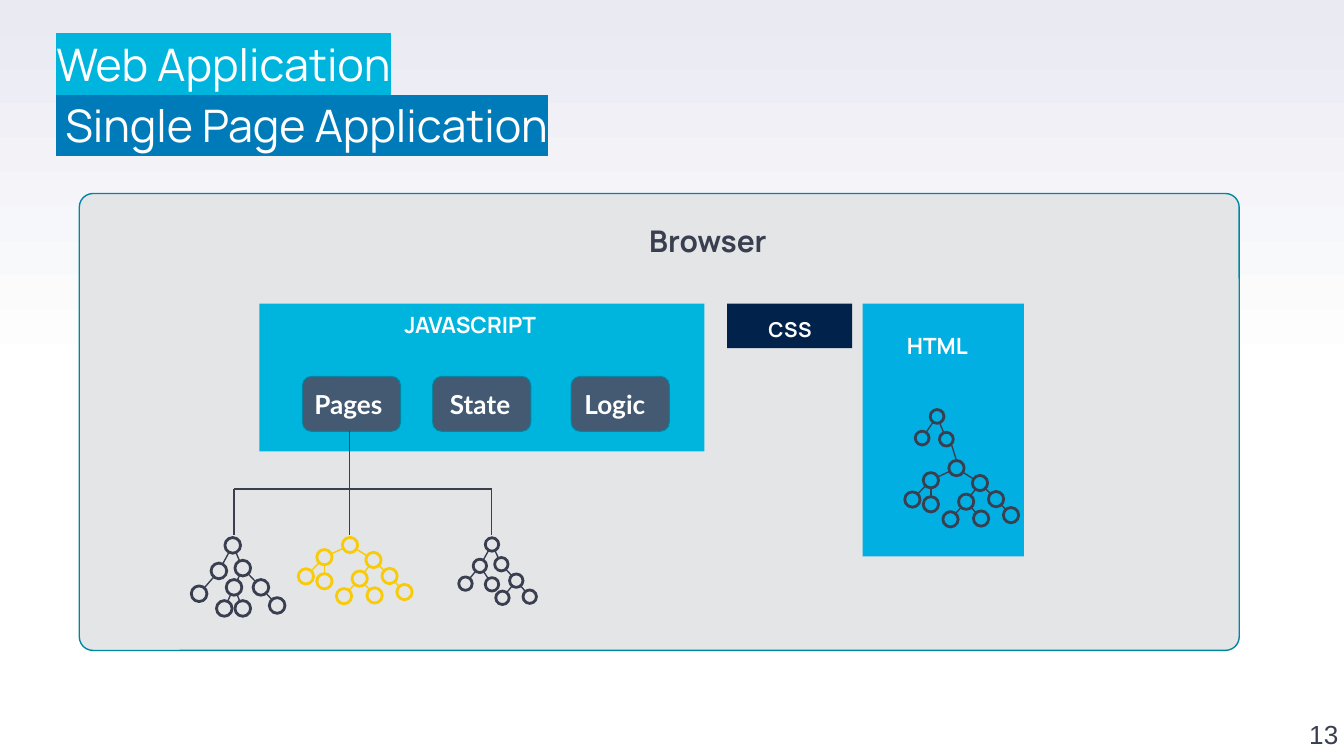
from math import hypot

from lxml import etree
from pptx import Presentation
from pptx.dml.color import RGBColor
from pptx.enum.shapes import MSO_CONNECTOR, MSO_SHAPE
from pptx.enum.text import MSO_ANCHOR, PP_ALIGN
from pptx.oxml.ns import qn
from pptx.util import Pt

RECT, ROUND, OVAL = MSO_SHAPE.RECTANGLE, MSO_SHAPE.ROUNDED_RECTANGLE, MSO_SHAPE.OVAL
STRAIGHT = MSO_CONNECTOR.STRAIGHT
BOTTOM, LEFT, RIGHT = MSO_ANCHOR.BOTTOM, PP_ALIGN.LEFT, PP_ALIGN.RIGHT

WHITE = RGBColor(0xFF, 0xFF, 0xFF)
HAZE = RGBColor(0xE9, 0xEA, 0xF2)
DARK = RGBColor(0x3A, 0x3F, 0x50)
PANEL = RGBColor(0xE3, 0xE5, 0xE7)
TEAL = RGBColor(0x00, 0x86, 0xA3)
CYAN = RGBColor(0x00, 0xB5, 0xDD)
BLUE = RGBColor(0x00, 0x7B, 0xB9)
SKY = RGBColor(0x01, 0xAF, 0xE2)
NAVY = RGBColor(0x01, 0x22, 0x4B)
SLATE = RGBColor(0x43, 0x5A, 0x72)
YELLOW = RGBColor(0xF9, 0xCB, 0x07)

TITLE = [("Web Application", CYAN), (" Single Page Application", BLUE)]

BLOCKS = [
    (462.2, 162.7, 86.4, 135.4, SKY),
    (139, 162.7, 238.3, 79.2, CYAN),
    (389.5, 162.7, 67, 23.8, NAVY),
]
LABELS = [
    ("JAVASCRIPT", 209.5, 163.4, 98.6, 12),
    ("CSS", 404.6, 166.3, 45.4, 11),
    ("HTML", 478.8, 174.2, 49, 12),
]
MODULES = [("Pages", 162, 161.3), ("State", 231.8, 234), ("Logic", 306, 306)]

# Each node: index of its parent, then its offset from the root.
PAGE_A = [
    (None, 0, 0), (0, -7.4, 13.7), (0, 5.4, 12.2), (2, 0.7, 22.5), (2, 15.1, 22.5),
    (1, -18, 25.9), (3, -4.5, 33.8), (3, 5.4, 33.8), (4, 23.8, 32.2),
]
PAGE_B = [
    (None, 0, 0), (0, -13.7, 6.5), (0, 12.6, 8), (2, 5.2, 18), (2, 21.2, 16.6),
    (1, -23.6, 16.8), (1, -13.7, 19.4), (3, -3.2, 27.4), (3, 13.2, 27), (4, 29.2, 25.2),
]
PAGE_C = [
    (None, 0, 0), (0, -6.5, 11.5), (0, 5, 10.6), (2, 13, 19.4), (1, -14.2, 21),
    (1, 0, 21.4), (3, 5.6, 28.6), (3, 20.2, 28),
]
DOCUMENT = [(None, 0, 0), (0, -8, 11.6), (0, 5, 12.2)]

TREES = [
    (PAGE_A, 124.7, 292.2, 8.4, DARK),
    (PAGE_B, 187.5, 292, 8.2, YELLOW),
    (PAGE_C, 263.6, 291.7, 7.2, DARK),
    (DOCUMENT, 502, 223.1, 7.4, DARK),
    (PAGE_B, 512.4, 250.8, 8.2, DARK),
]
BUS_Y, TREE_TOP = 262, 286.5
PAGES_X = (125.4, 187.4, 263.4)


def pts(*values):
    return [Pt(round(v, 2)) for v in values]


def add_shape(kind, x, y, w, h, fill=None, line=None, weight=0.75):
    sp = s.shapes.add_shape(kind, *pts(x, y, w, h))
    sp.shadow.inherit = False
    if fill is None:
        sp.fill.background()
    else:
        sp.fill.solid()
        sp.fill.fore_color.rgb = fill
    if line is None:
        sp.line.fill.background()
    else:
        sp.line.color.rgb = line
        sp.line.width = Pt(weight)
    return sp


def add_line(x1, y1, x2, y2, color=DARK):
    c = s.shapes.add_connector(STRAIGHT, *pts(x1, y1, x2, y2))
    c.line.color.rgb = color
    c.line.width = Pt(0.75)
    etree.SubElement(c._element.spPr, qn("a:effectLst"))


def add_text(lines, x, y, w, h, size, font, color=WHITE, bold=False,
             inset=True, align=LEFT, spacing=None):
    tf = s.shapes.add_textbox(*pts(x, y, w, h)).text_frame
    tf.word_wrap = True
    if not inset:
        tf.margin_left = tf.margin_right = tf.margin_top = tf.margin_bottom = 0
    tf.text = "\n".join(lines)
    for p in tf.paragraphs:
        p.alignment = align
        p.line_spacing = spacing
        p.font.size = Pt(size)
        p.font.name = font
        p.font.bold = bold
        p.font.color.rgb = color
    return tf


def highlight(r, color):
    mark = etree.SubElement(r.font._element, qn("a:highlight"))
    etree.SubElement(mark, qn("a:srgbClr"), val=str(color))


def add_tree(nodes, x, y, size, color):
    radius = size / 2
    for parent, dx, dy in nodes:
        add_shape(OVAL, x + dx - radius, y + dy - radius, size, size, line=color, weight=1.5)
        if parent is not None:
            _, px, py = nodes[parent]
            length = hypot(dx - px, dy - py)
            ux, uy = (dx - px) / length * radius, (dy - py) / length * radius
            add_line(x + px + ux, y + py + uy, x + dx - ux, y + dy - uy, color)


prs = Presentation()
prs.slide_width, prs.slide_height = Pt(720), Pt(405)
s = prs.slides.add_slide(prs.slide_layouts[6])

bg = s.background.fill
bg.gradient()
bg.gradient_angle = 90
for stop, position, color in zip(bg.gradient_stops, (0.5, 1), (WHITE, HAZE)):
    stop.position = position
    stop.color.rgb = color

number = add_text(["13"], 681, 365, 36, 36.7, 14, "Arial", DARK, inset=False, align=RIGHT)
number.vertical_anchor = BOTTOM

browser = add_shape(ROUND, 42.5, 103.7, 621.4, 244.8, PANEL, TEAL)
browser.adjustments[0] = 0.03
add_text(["Browser"], 347.8, 117.4, 76, 21, 16, "Manrope", DARK, True, inset=False, spacing=1.1)

title = add_text([text for text, _ in TITLE], 30.2, 15.1, 409.7, 70.6, 24, "Manrope",
                 inset=False, spacing=1.15)
for p, (_, color) in zip(title.paragraphs, TITLE):
    highlight(p.runs[0], color)

for x, y, w, h, fill in BLOCKS:
    add_shape(RECT, x, y, w, h, fill)
for text, box_x, text_x in MODULES:
    add_shape(ROUND, box_x, 201.6, 52.6, 29.5, SLATE, TEAL, 0.5)
    add_text([text], text_x, 204.5, 52.6, 24.5, 14, "Lato", bold=True)
for text, x, y, w, size in LABELS:
    add_text([text], x, y, w, 21.6, size, "Manrope", bold=True)

add_line(PAGES_X[1], 231.1, PAGES_X[1], BUS_Y)
add_line(PAGES_X[0], BUS_Y, PAGES_X[-1], BUS_Y)
for x in PAGES_X:
    add_line(x, BUS_Y, x, TREE_TOP)
for tree in TREES:
    add_tree(*tree)
add_line(509.8, 238.3, 512.4, 246.7)

prs.save("out.pptx")
